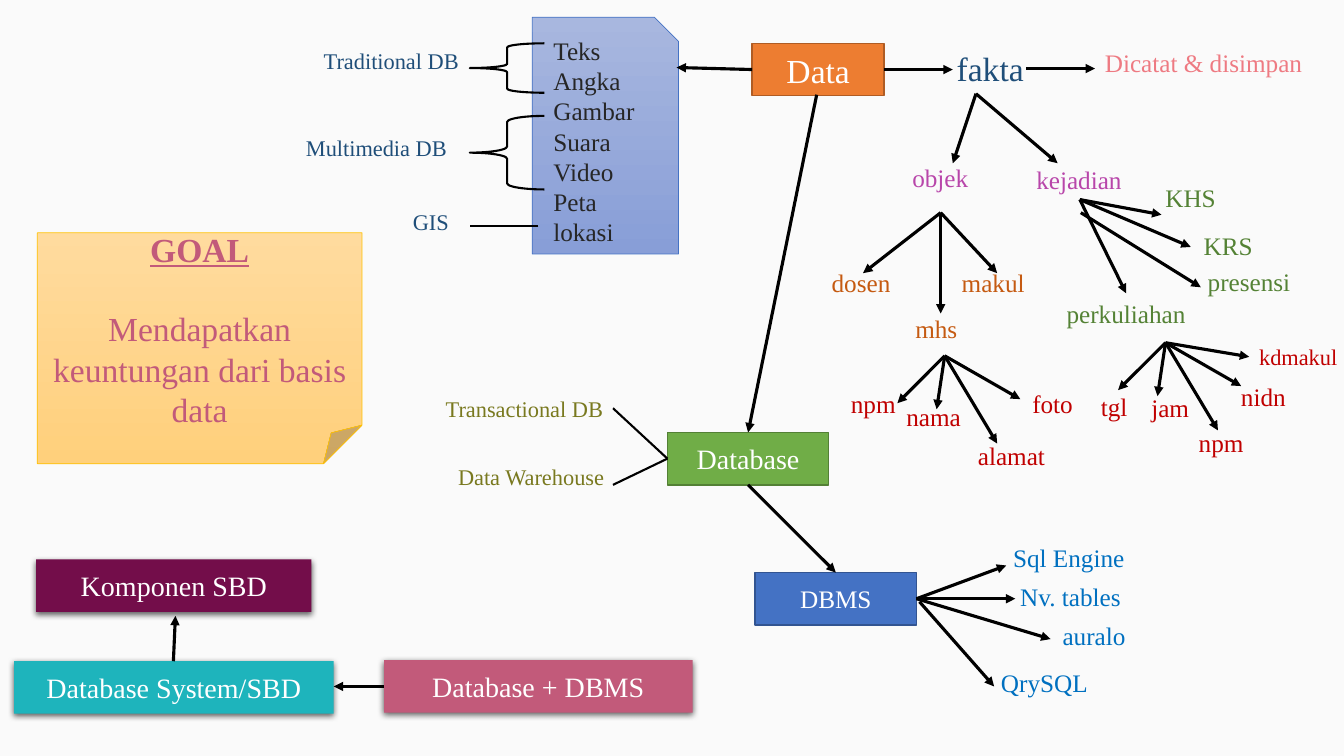
"""Build the data, database and DBMS concept map slide."""
from lxml import etree
from pptx import Presentation
from pptx.dml.color import RGBColor
from pptx.enum.shapes import MSO_CONNECTOR, MSO_SHAPE
from pptx.enum.text import MSO_ANCHOR, MSO_AUTO_SIZE, PP_ALIGN
from pptx.oxml.ns import qn
from pptx.util import Pt

PX = 9144
FONT = "Times New Roman"
LEFT, CENTER, RIGHT = PP_ALIGN.LEFT, PP_ALIGN.CENTER, PP_ALIGN.RIGHT
RECTANGLE, BRACE = MSO_SHAPE.RECTANGLE, MSO_SHAPE.LEFT_BRACE
SNIPPED, FOLDED = MSO_SHAPE.SNIP_1_RECTANGLE, MSO_SHAPE.FOLDED_CORNER
STRAIGHT, MIDDLE = MSO_CONNECTOR.STRAIGHT, MSO_ANCHOR.MIDDLE
FIT_SHAPE = MSO_AUTO_SIZE.SHAPE_TO_FIT_TEXT
color = RGBColor.from_string


def write(box, text, size, ink, align):
    box.text_frame.text = text
    for para in box.text_frame.paragraphs:
        para.alignment = align
        for span in para.runs:
            span.font.name = FONT
            span.font.size = Pt(size)
            span.font.color.rgb = color(ink)


def connect(start, end, width, arrow):
    line = page.shapes.add_connector(STRAIGHT, *[value * PX for value in start + end])
    line.line.color.rgb = color("000000")
    line.line.width = Pt(width)
    if arrow:
        etree.SubElement(line.line._get_or_add_ln(), qn("a:tailEnd"), type="triangle")
    etree.SubElement(line._element.spPr, qn("a:effectLst"))


deck = Presentation()
deck.slide_width, deck.slide_height = 1333 * PX, 750 * PX
page = deck.slides.add_slide(deck.slide_layouts[6])
page.background.fill.solid()
page.background.fill.fore_color.rgb = color("FAFAFA")

panels = [
    (SNIPPED, (528, 17, 145, 235), "A8B7DF", "889ED7", "4472C4"),
    (FOLDED, (37, 231, 322, 229), "FFDB9E", "FFD07C", "FFC000"),
]
for kind, place, top_color, bottom_color, edge in panels:
    panel = page.shapes.add_shape(kind, *[value * PX for value in place])
    panel.shadow.inherit = False
    panel.fill.gradient()
    panel.fill.gradient_angle = 270
    for stop, tint in zip(panel.fill.gradient_stops, (top_color, bottom_color)):
        stop.color.rgb = color(tint)
    panel.line.color.rgb = color(edge)
    panel.line.width = Pt(0.5)

goal = panel
write(goal, "GOAL\nMendapatkan keuntungan dari basis data", 24, "C25A7A", CENTER)
goal.text_frame.vertical_anchor = MIDDLE
heading = goal.text_frame.paragraphs[0]
heading.space_after = Pt(28)
heading.runs[0].font.bold = True
heading.runs[0].font.underline = True

blocks = [
    ("Data", (746, 43, 131, 52), 24, "ED7D31", "AF5C24"),
    ("Database", (662, 429, 160, 52), 20, "70AD47", "538035"),
    ("DBMS", (749, 568, 160, 52), 18, "4472C4", "325491"),
    ("Database + DBMS", (381, 655, 306, 52), 20, "C25A7A", None),
    ("Database System/SBD", (14, 656, 317, 52), 20, "1EB4BC", None),
    ("Komponen SBD", (36, 555, 273, 52), 20, "730D4A", None),
]
for text, place, size, fill, edge in blocks:
    block = page.shapes.add_shape(RECTANGLE, *[value * PX for value in place])
    block.shadow.inherit = False
    block.fill.solid()
    block.fill.fore_color.rgb = color(fill)
    if edge:
        block.line.color.rgb = color(edge)
        block.line.width = Pt(1)
    else:
        block.line.fill.background()
        effects = block._element.spPr.find(qn("a:effectLst"))
        shadow = etree.SubElement(effects, qn("a:outerShdw"), blurRad="57150",
                                  dist="19050", dir="5400000", algn="ctr", rotWithShape="0")
        shade = etree.SubElement(shadow, qn("a:srgbClr"), val="000000")
        etree.SubElement(shade, qn("a:alpha"), val="63000")
    write(block, text, size, "FFFFFF", CENTER)
    block.text_frame.vertical_anchor = MIDDLE

arrow_fans = [
    ((877, 69), [(945, 69)]),
    ((1018, 68), [(1086, 68)]),
    ((746, 69), [(671, 67)]),
    ((810, 94), [(742, 429)]),
    ((742, 481), [(829, 568)]),
    ((381, 681), [(331, 681)]),
    ((172, 656), [(174, 611)]),
    ((968, 93), [(945, 162), (1049, 162)]),
    ((933, 211), [(856, 271), (989, 271), (933, 311)]),
    ((1071, 198), [(1181, 245), (1117, 291), (1152, 213)]),
    ((1072, 211), [(1191, 285)]),
    ((937, 353), [(890, 400), (929, 406), (989, 440), (1012, 396)]),
    ((1156, 340), [(1109, 387), (1148, 393), (1208, 427), (1231, 383), (1239, 354)]),
    ((909, 594), [(1007, 594), (1042, 634), (998, 561)]),
    ((912, 597), [(986, 681)]),
]
for start, ends in arrow_fans:
    for end in ends:
        connect(start, end, 2.25, True)

plain_lines = [((534, 224), (466, 224)), ((662, 455), (608, 405)), ((662, 455), (608, 481))]
for start, end in plain_lines:
    connect(start, end, 1.5, False)

for top, height in [(43, 49), (115, 73)]:
    brace = page.shapes.add_shape(BRACE, 466 * PX, top * PX, 74 * PX, height * PX)
    brace.shadow.inherit = False
    brace.fill.background()
    brace.line.color.rgb = color("000000")
    brace.line.width = Pt(1.5)

label_groups = [
    ("1F4E79", 24, LEFT, False, [("fakta", 939, 43, 87)]),
    ("EE7A82", 18, LEFT, False, [("Dicatat & disimpan", 1086, 42, 218)]),
    ("B846AA", 18, LEFT, False, [("objek", 895, 156, 76), ("kejadian", 1018, 158, 106)]),
    ("C55A11", 18, LEFT, False, [
        ("dosen", 815, 260, 79), ("mhs", 898, 306, 62), ("makul", 944, 260, 83)]),
    ("548235", 18, LEFT, False, [
        ("perkuliahan", 1048, 291, 139), ("presensi", 1188, 259, 103),
        ("KRS", 1184, 224, 69), ("KHS", 1146, 176, 71)]),
    ("C00000", 18, LEFT, False, [
        ("npm", 834, 380, 65), ("alamat", 960, 432, 88), ("nama", 889, 393, 75),
        ("tgl", 1082, 383, 47), ("npm", 1179, 419, 65), ("jam", 1132, 384, 58)]),
    ("C00000", 18, LEFT, True, [("foto", 1014, 380, 74), ("nidn", 1221, 373, 74)]),
    ("C00000", 16, LEFT, True, [("kdmakul", 1239, 336, 110)]),
    ("0070C0", 18, LEFT, True, [
        ("Sql Engine", 995, 533, 150), ("Nv. tables", 1002, 572, 150),
        ("auralo", 1044, 611, 110), ("QrySQL", 983, 657, 130)]),
    ("1F4E79", 16, RIGHT, False, [("Traditional DB", 309, 42, 156)]),
    ("1F4E79", 16, RIGHT, True, [("Multimedia DB", 284, 128, 169), ("GIS", 286, 202, 169)]),
    ("79791F", 16, RIGHT, True, [
        ("Transactional DB", 413, 387, 195), ("Data Warehouse", 414, 455, 195)]),
    ("262626", 18, LEFT, True, [("Teks\nAngka\nGambar\nSuara\nVideo\nPeta lokasi", 539, 30, 128)]),
]
line_heights = {16: 37, 18: 40, 24: 50}
for ink, size, align, wrap, labels in label_groups:
    for text, left, top, width in labels:
        label = page.shapes.add_textbox(left * PX, top * PX, width * PX, line_heights[size] * PX)
        write(label, text, size, ink, align)
        label.text_frame.word_wrap = wrap
        label.text_frame.auto_size = FIT_SHAPE

label.height = 222 * PX

deck.save("out.pptx")
